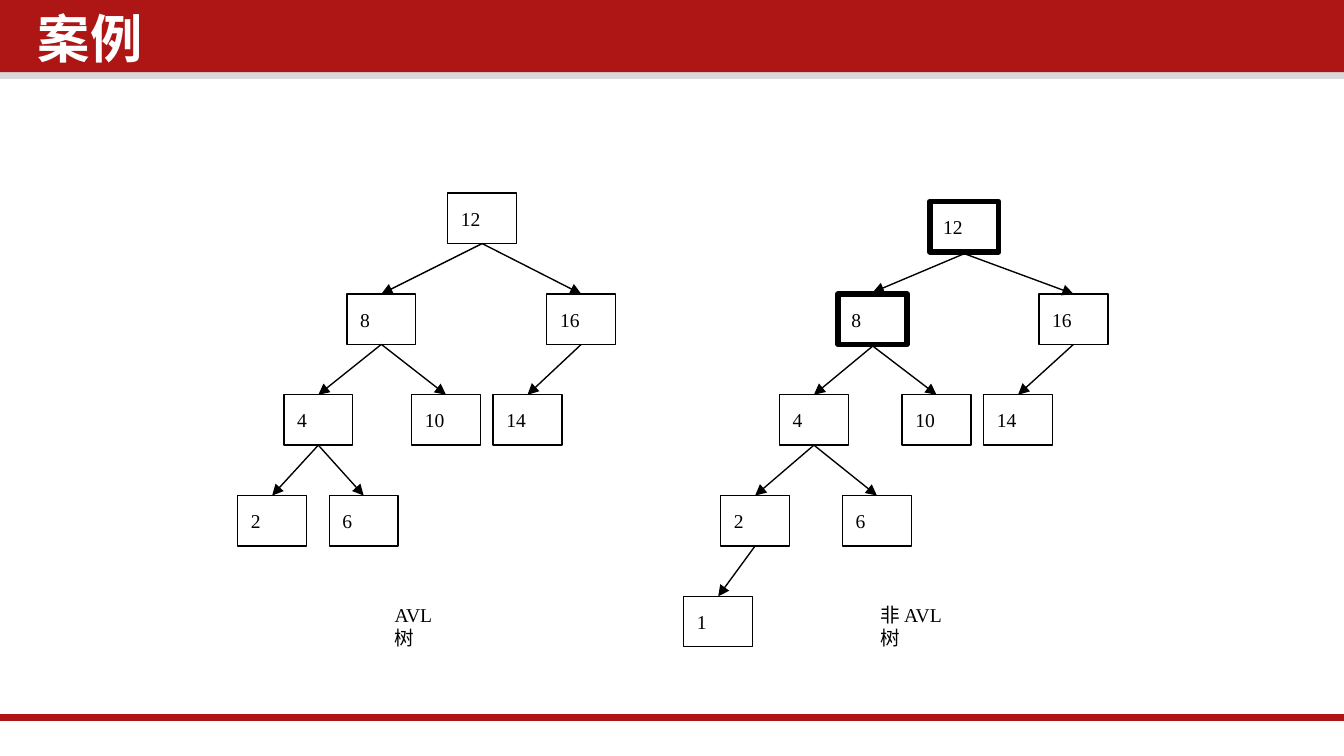
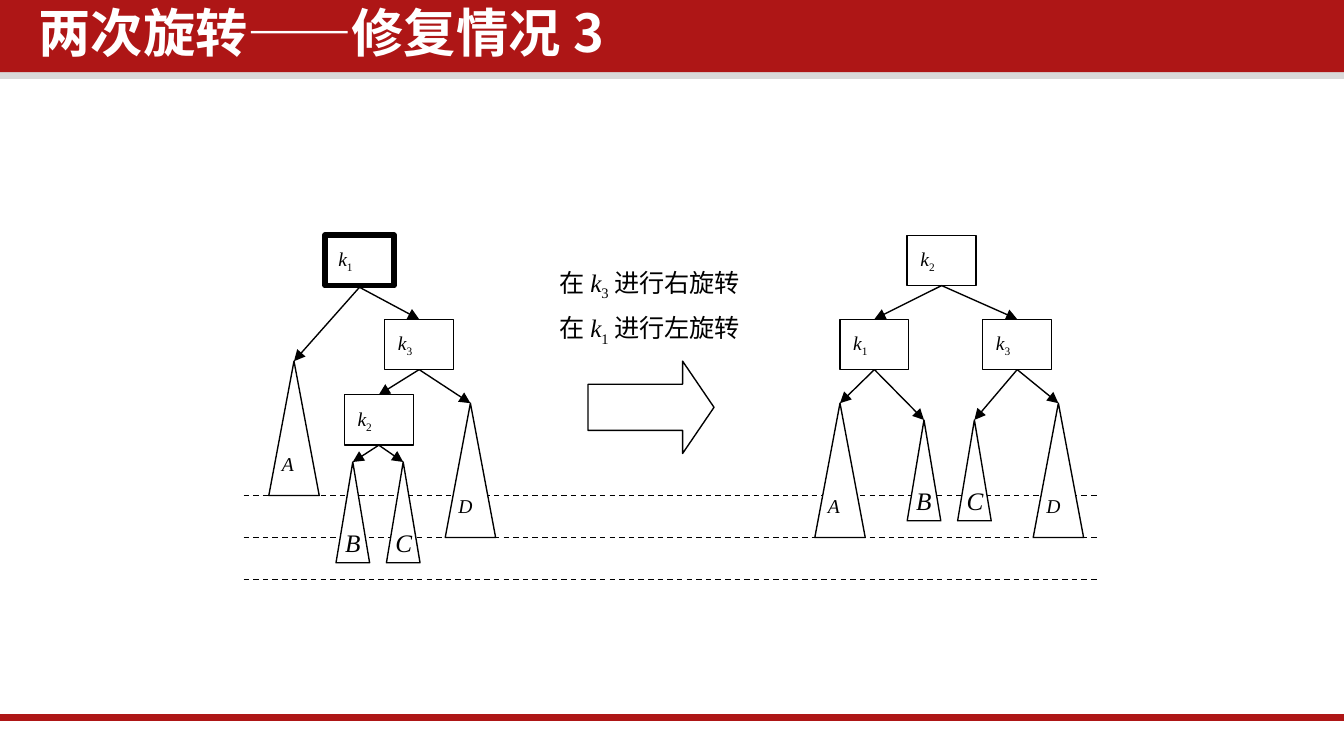
from lxml import etree
from pptx import Presentation
from pptx.dml.color import RGBColor
from pptx.enum.dml import MSO_LINE
from pptx.enum.shapes import MSO_CONNECTOR, MSO_SHAPE
from pptx.enum.text import MSO_ANCHOR, PP_ALIGN
from pptx.oxml.ns import qn
from pptx.util import Pt

PX = 5715  # 160 px to the inch
RECTANGLE, RIGHT_ARROW = MSO_SHAPE.RECTANGLE, MSO_SHAPE.RIGHT_ARROW
STRAIGHT = MSO_CONNECTOR.STRAIGHT
TOP, MIDDLE, LEFT = MSO_ANCHOR.TOP, MSO_ANCHOR.MIDDLE, PP_ALIGN.LEFT
DASH = MSO_LINE.DASH

COLORS = {"red": "AE1616", "gray": "D9D9D9", "black": "000000", "white": "FFFFFF"}
SERIF, SANS = "Times New Roman", "Noto Sans CJK SC"
THIN, HEAVY = 0.75, 3
SLIDE_W, SLIDE_H = 1600, 900
NODE_W, NODE_H = 82, 60

TITLE = {"name": SANS, "size": Pt(28), "bold": True}
SMALL = {"name": SERIF, "size": Pt(10.5)}
LARGE = {"name": SERIF, "size": Pt(13.5)}

# Subtree letter: triangle width and height, label offset, label size, text style
TALL = (60, 160, (-30, 100), (48, 45), SMALL)
SHORT = (40, 120, (-25, 70), (53, 53), LARGE)
SUBTREES = {"A": TALL, "B": SHORT, "C": SHORT, "D": TALL}


def color(name):
    return RGBColor.from_string(COLORS[name])


def indexed(letter, index):
    """Spans for an italic letter with an upright subscript."""
    return [(letter, {"italic": True}, 0), (index, {"italic": False}, -25)]


class Page:
    def __init__(self, deck):
        self.deck = deck
        self.layout = deck.slide_layouts[5]
        self.slide = None

    def start(self, title, left, top):
        first = len(self.deck.slides) == 0
        self.slide = self.deck.slides.add_slide(self.layout)
        if first:
            self.decorate_layout()
        box = self.slide.shapes.title
        box.left, box.top, box.width, box.height = (v * PX for v in (left, top, 1222, 94))
        self.set_text(box, [[(title, {}, 0)]], TITLE, "white", margins=(11, 6))
        para = box.text_frame.paragraphs[0]
        para.line_spacing, para.space_before = 0.9, Pt(7.5)

    def decorate_layout(self):
        """Draw the bands once and keep them in the shared layout."""
        bands = [
            self.shape(RECTANGLE, 0, 80, SLIDE_W, 14, fill="gray"),
            self.shape(RECTANGLE, 0, 0, SLIDE_W, 86, fill="red"),
            self.line((0, 854), (SLIDE_W, 854), ink="red", width=4),
        ]
        for number, band in enumerate(bands, 20):
            band._element._nvXxPr.cNvPr.id = number
            self.layout.shapes._spTree.append(band._element)

    def finish(self, shape, fill=None, width=None):
        shape.shadow.inherit = False
        if fill:
            shape.fill.solid()
            shape.fill.fore_color.rgb = color(fill)
        else:
            shape.fill.background()
        if width:
            shape.line.color.rgb = color("black")
            shape.line.width = Pt(width)
        else:
            shape.line.fill.background()
        return shape

    def shape(self, kind, left, top, width, height, fill=None, line=None):
        frame = (v * PX for v in (left, top, width, height))
        return self.finish(self.slide.shapes.add_shape(kind, *frame), fill, line)

    def line(self, start, end, ink="black", width=THIN, arrow=False, dash=None):
        ends = (v * PX for v in (*start, *end))
        line = self.slide.shapes.add_connector(STRAIGHT, *ends)
        line.line.color.rgb = color(ink)
        line.line.width = Pt(width)
        if dash:
            line.line.dash_style = dash
        if arrow:
            outline = line._element.spPr.get_or_add_ln()
            etree.SubElement(outline, qn("a:tailEnd"), type="triangle")
        etree.SubElement(line._element.spPr, qn("a:effectLst"))
        return line

    def set_text(self, box, paragraphs, style, ink="black", anchor=TOP, margins=(16, 8), gap=0):
        frame = box.text_frame
        side, edge = (v * PX for v in margins)
        values = {"word_wrap": True, "vertical_anchor": anchor,
                  "margin_left": side, "margin_right": side,
                  "margin_top": edge, "margin_bottom": edge}
        for name, value in values.items():
            setattr(frame, name, value)
        for number, spans in enumerate(paragraphs):
            para = frame.add_paragraph() if number else frame.paragraphs[0]
            para.alignment, para.space_before = LEFT, Pt(gap)
            for text, extra, baseline in spans:
                span = para.add_run()
                span.text = text
                for name, value in {**style, **extra}.items():
                    setattr(span.font, name, value)
                span.font.color.rgb = color(ink)
                props = span._r.get_or_add_rPr()
                etree.SubElement(props, qn("a:ea"), typeface=SANS)
                if baseline:
                    props.set("baseline", str(baseline * 1000))

    def text(self, left, top, width, height, paragraphs, style, gap=0):
        box = self.slide.shapes.add_textbox(*(v * PX for v in (left, top, width, height)))
        self.set_text(box, paragraphs, style, gap=gap)

    def node(self, spans, left, top, heavy=False):
        """Draw a tree node; return its upper and lower link points."""
        box = self.shape(RECTANGLE, left, top, NODE_W, NODE_H, line=HEAVY if heavy else THIN)
        self.set_text(box, [spans], SMALL, anchor=MIDDLE)
        center, reach = left + NODE_W // 2, 2 if heavy else 0
        return (center, top - reach), (center, top + NODE_H + reach)

    def subtree(self, letter, center, top):
        """Draw a triangle with its letter; return its link points."""
        width, height, (dx, dy), label, style = SUBTREES[letter]
        left, base = center - width // 2, top + height
        outline = self.slide.shapes.build_freeform(left * PX, base * PX)
        corners = [(left + width, base), (center, top)]
        outline.add_line_segments([(x * PX, y * PX) for x, y in corners], close=True)
        self.finish(outline.convert_to_shape(), "white", THIN)
        self.text(center + dx, top + dy, *label, [[(letter, {"italic": True}, 0)]], style)
        return (center, top), (center, base)

    def tree(self, parts, edges):
        """Draw nodes (k1, 12) and subtrees (A), then an arrow for each edge."""
        links = {}
        for name, place in parts.items():
            if name in SUBTREES:
                links[name] = self.subtree(name, *place)
            else:
                spans = indexed(*name) if name[0] == "k" else [(name, {}, 0)]
                links[name] = self.node(spans, *place)
        for parent, children in edges.items():
            for child in children.split():
                self.line(links[parent][1], links[child][0], arrow=True)


def build_examples(page):
    page.start("案例", 34, 10)
    level = [230 + 120 * depth for depth in range(5)]
    edges = {"12": "8 16", "8": "4 10", "16": "14", "4": "2 6"}

    # Balanced tree
    page.tree({
        "12": (533, level[0]),
        "8": (413, level[1]), "16": (651, level[1]),
        "4": (338, level[2]), "10": (490, level[2]), "14": (587, level[2]),
        "2": (283, level[3]), "6": (392, level[3]),
    }, edges)

    # Unbalanced tree, with the offending nodes outlined heavily
    page.tree({
        "12": (1107, level[0] + 10, True),
        "8": (998, level[1], True), "16": (1237, level[1]),
        "4": (928, level[2]), "10": (1074, level[2]), "14": (1171, level[2]),
        "2": (858, level[3]), "6": (1003, level[3]),
        "1": (814, level[4]),
    }, {**edges, "2": "1"})

    # Captions
    for caption, left, width in (("AVL树", 454, 104), ("非AVL树", 1032, 126)):
        page.text(left, level[4], width, 45, [[(caption, {}, 0)]], SMALL)


def build_double_rotation(page):
    page.start("两次旋转——修复情况3", 35, 3)

    # Depth guides
    for depth in range(3):
        y = 590 + 50 * depth
        page.line((290, y), (1310, y), dash=DASH)

    # Before the rotations
    page.tree({
        "k1": (387, 280, True), "k3": (458, 380), "k2": (410, 470),
        "A": (350, 430), "D": (560, 480), "B": (420, 550), "C": (480, 550),
    }, {"k1": "A k3", "k3": "k2 D", "k2": "B C"})

    # After the rotations
    page.tree({
        "k2": (1080, 280), "k1": (1000, 380), "k3": (1170, 380),
        "A": (1000, 480), "B": (1100, 500), "C": (1160, 500), "D": (1260, 480),
    }, {"k2": "k1 k3", "k1": "A B", "k3": "C D"})

    # Steps and arrow between the trees
    steps = [[("在", {}, 0), *indexed("k", index), (action, {}, 0)]
             for index, action in (("3", "进行右旋转"), ("1", "进行左旋转"))]
    page.text(650, 310, 290, 107, steps, LARGE, gap=6)
    arrow = page.shape(RIGHT_ARROW, 700, 430, 150, 110, fill="white", line=THIN)
    arrow.adjustments[0], arrow.adjustments[1] = 0.5, 0.34


def main():
    deck = Presentation()
    deck.slide_width, deck.slide_height = SLIDE_W * PX, SLIDE_H * PX
    page = Page(deck)
    build_examples(page)
    build_double_rotation(page)
    deck.save("out.pptx")


if __name__ == "__main__":
    main()
